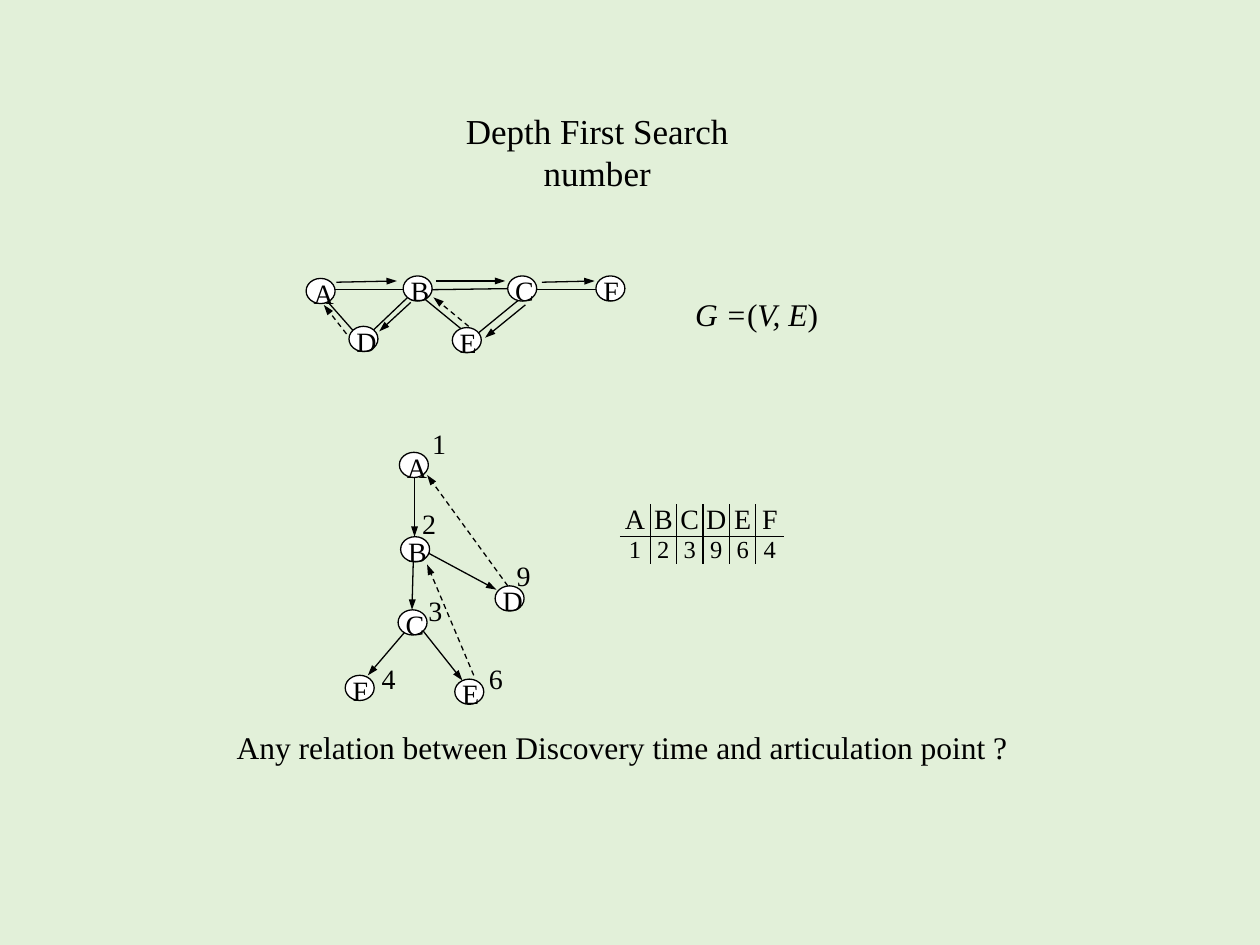
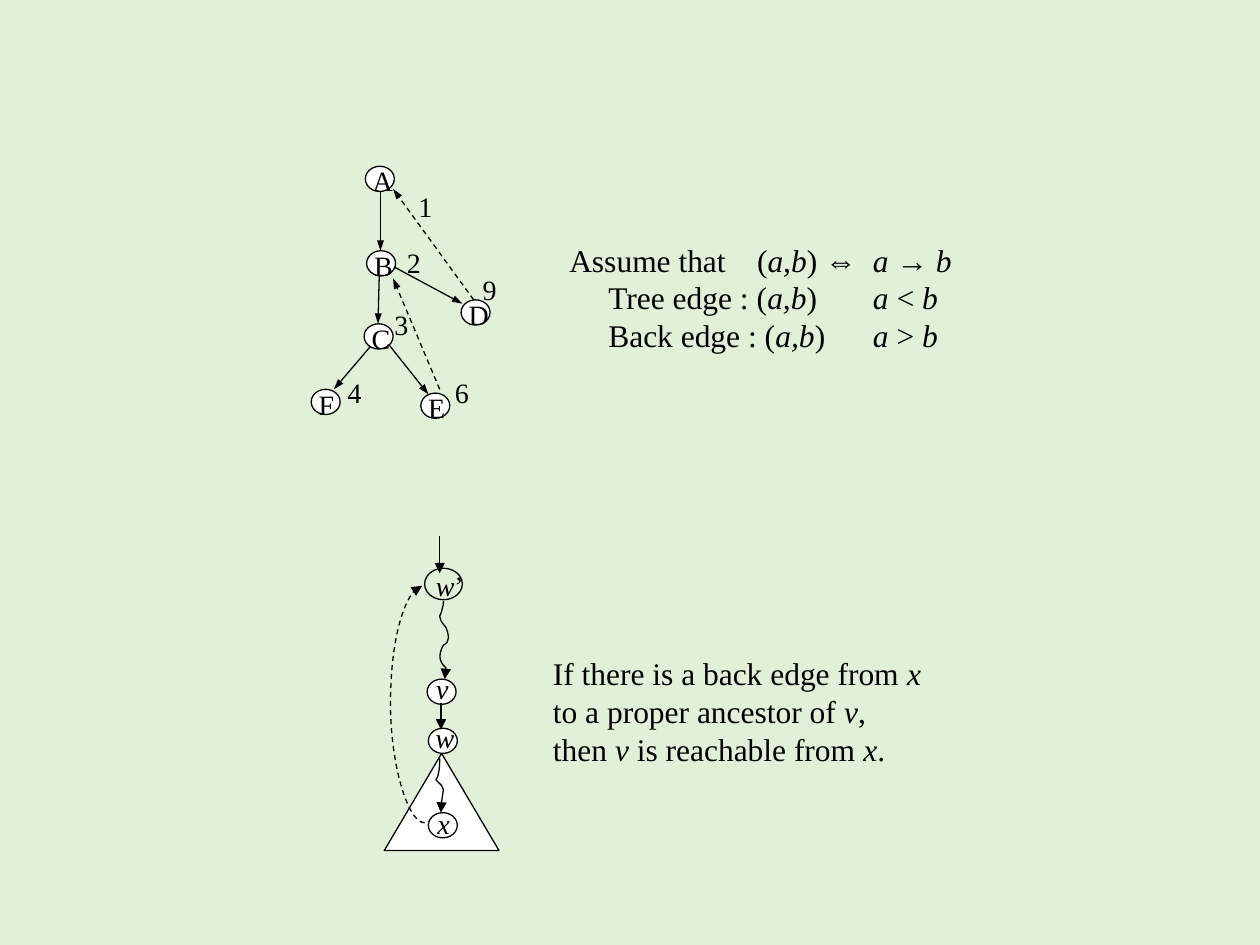
from lxml import etree
from pptx import Presentation
from pptx import util as u
from pptx.dml.color import RGBColor
from pptx.enum import dml, shapes, text
from pptx.oxml.ns import qn

BACKGROUND = RGBColor(0xE2, 0xF0, 0xD9)
INK = RGBColor(0, 0, 0)
PAPER = RGBColor(0xFF, 0xFF, 0xFF)
FONT = "Times New Roman"
COLUMNS, ROWS = 10, 7.5
CELL = u.Inches(1)
NODE_W, NODE_H = 0.23, 0.2
LABEL_W, LABEL_H = 0.32, 0.37
NO_GRID_STYLE = "{2D5ABB26-0587-4C30-8999-92F81FD0307C}"
CENTER, LEFT = text.PP_ALIGN.CENTER, text.PP_ALIGN.LEFT

GRAPH_EDGES = [
    (2.57, 2.36, 2.87, 2.7), (2.55, 2.3, 3.37, 2.3), (3.37, 2.3, 4.09, 2.29),
    (3.8, 2.64, 4.13, 2.37), (3.32, 2.28, 2.9, 2.68), (3.33, 2.34, 3.66, 2.61),
    (4.26, 2.3, 4.74, 2.3),
]
GRAPH_NODES = {"B": (3.2, 2.19), "D": (2.77, 2.59), "E": (3.59, 2.6),
               "A": (2.43, 2.21), "C": (4.03, 2.19), "F": (4.73, 2.19)}
GRAPH_VISITS = [
    (2.67, 2.24, 3.15, 2.23), (3.46, 2.23, 4.01, 2.23), (4.3, 2.24, 4.72, 2.23),
    (4.17, 2.42, 3.85, 2.68), (3.26, 2.4, 3.01, 2.63),
]
GRAPH_BACK_EDGES = [(2.75, 2.65, 2.57, 2.42), (3.72, 2.59, 3.44, 2.36)]

TREE_NODES = {"B": (0.44, 0.67), "D": (1.19, 1.06), "E": (0.87, 1.8),
              "A": (0.43, 0), "C": (0.42, 1.25), "F": (0, 1.77)}
TREE_EDGES = [
    (0.55, 0.2, 0.55, 0.67), (0.54, 0.87, 0.53, 1.25), (0.47, 1.43, 0.18, 1.77),
    (0.62, 1.42, 0.93, 1.81), (0.66, 0.8, 1.2, 1.09),
]
TREE_BACK_EDGES = [(1.29, 1.06, 0.65, 0.18), (1.02, 1.77, 0.65, 0.89)]
TREE_NUMBERS = {"1": (0.59, -0.26), "2": (0.51, 0.38), "3": (0.56, 1.07),
                "4": (0.19, 1.61), "6": (1.04, 1.61), "9": (1.26, 0.79)}

DISCOVERY = [("A", "1"), ("B", "2"), ("C", "3"), ("D", "9"), ("E", "6"), ("F", "4")]
DISCOVERY_WIDTHS = [0.24] + [0.21] * 4 + [0.22]

WAVE_TO_V = [
    (3.52, 4.77), (3.52, 4.79), (3.52, 4.81), (3.51, 4.83), (3.51, 4.85),
    (3.49, 4.89), (3.49, 4.89), (3.5, 4.94), (3.51, 4.94), (3.54, 4.98),
    (3.56, 5.03), (3.58, 5.09), (3.52, 5.12), (3.48, 5.19), (3.48, 5.25),
    (3.54, 5.3), (3.53, 5.38), (3.53, 5.35), (3.53, 5.39),
]
WAVE_TO_X = [
    (3.49, 6.02), (3.49, 6.06), (3.49, 6.1), (3.48, 6.14), (3.48, 6.16),
    (3.46, 6.19), (3.46, 6.19), (3.52, 6.25), (3.5, 6.22), (3.52, 6.27),
    (3.51, 6.33), (3.5, 6.39), (3.5, 6.45),
]


def grid(*lengths):
    """Turn grid columns and rows into slide lengths."""
    return [int(n * CELL) for n in lengths]


def shift(points, dx, dy):
    """Move a flat tuple of x, y pairs."""
    return [n + (dy if i % 2 else dx) for i, n in enumerate(points)]


def write(p, content, size, align=LEFT):
    """Fill a paragraph, with the parts between asterisks in italics."""
    p.alignment = align
    for i, part in enumerate(content.split("*")):
        if part:
            r = p.add_run()
            r.text = part
            look = {"name": FONT, "size": u.Pt(size), "italic": i % 2 == 1}
            for key, value in look.items():
                setattr(r.font, key, value)
            r.font.color.rgb = INK


def set_frame(tf, **changes):
    """Apply the shared text frame settings."""
    look = {"word_wrap": True, "vertical_anchor": text.MSO_ANCHOR.MIDDLE,
            "auto_size": text.MSO_AUTO_SIZE.NONE, **changes}
    for key, value in look.items():
        setattr(tf, key, value)


def add_text(s, at, lines, size=18, align=LEFT):
    """Add a text box with one paragraph per line."""
    tf = s.shapes.add_textbox(*grid(*at)).text_frame
    set_frame(tf)
    for i, line in enumerate(lines):
        write(tf.add_paragraph() if i else tf.paragraphs[0], line, size, align)
    return tf


def add_tabs(p, *stops):
    """Give a paragraph left tab stops."""
    tabs = etree.SubElement(p._p.get_or_add_pPr(), qn("a:tabLst"))
    for stop in grid(*stops):
        etree.SubElement(tabs, qn("a:tab"), pos=str(stop), algn="l")


def add_title(s, at, content):
    """Move and format the title placeholder."""
    sp = s.shapes.title
    for key, value in zip(("left", "top", "width", "height"), grid(*at)):
        setattr(sp, key, value)
    set_frame(sp.text_frame)
    write(sp.text_frame.paragraphs[0], content, 20, CENTER)


def set_line(sp, dashed=False, head=None):
    """Draw a thin line, dashed or with an arrowhead of the given width."""
    sp.line.color.rgb = INK
    sp.line.width = u.Pt(0.75)
    if dashed:
        sp.line.dash_style = dml.MSO_LINE.DASH
    if head:
        etree.SubElement(sp.line._get_or_add_ln(), qn("a:tailEnd"),
                         type="triangle", w=head, len="med")


def add_line(s, ends, dashed=False, head=None, kind=shapes.MSO_CONNECTOR.STRAIGHT):
    """Add a connector between two points."""
    sp = s.shapes.add_connector(kind, *grid(*ends))
    set_line(sp, dashed, head)
    etree.SubElement(sp._element.spPr, qn("a:effectLst"))
    return sp


def add_back_curve(s, ends, bulge):
    """Add a dashed curve that runs upwards and bulges to the left."""
    sp = add_line(s, ends, True, "med", shapes.MSO_CONNECTOR.CURVE)
    spPr = sp._element.spPr
    spPr.find(qn("a:xfrm")).set("rot", str(180 * 60000))
    adjust = next(spPr.iter(qn("a:avLst")))
    etree.SubElement(adjust, qn("a:gd"), name="adj1", fmla=f"val {int(bulge * 100000)}")


def add_wave(s, points):
    """Add a curved arrow through cubic control points."""
    start, *rest = [grid(*point) for point in points]
    builder = s.shapes.build_freeform(*start)
    builder.add_line_segments(rest, close=False)
    sp = builder.convert_to_shape()
    outline = next(sp._element.iter(qn("a:path")))
    segments = outline.findall(qn("a:lnTo"))
    for i in range(0, len(segments), 3):
        curve = etree.SubElement(outline, qn("a:cubicBezTo"))
        for segment in segments[i:i + 3]:
            curve.append(segment[0])
            outline.remove(segment)
    sp.shadow.inherit = False
    sp.fill.background()
    set_line(sp, head="med")


def add_outline(s, at, kind=shapes.MSO_SHAPE.OVAL, filled=True):
    """Add an outlined preset shape."""
    sp = s.shapes.add_shape(kind, *grid(*at))
    sp.shadow.inherit = False
    if filled:
        sp.fill.solid()
        sp.fill.fore_color.rgb = PAPER
    else:
        sp.fill.background()
    set_line(sp)


def add_node(s, x, y, name, lift=0.07):
    """Add a graph node and its label."""
    add_outline(s, (x, y, NODE_W, NODE_H))
    add_text(s, (x - 0.04, y - lift, LABEL_W, LABEL_H), [name], 16, CENTER)


def add_tree(s, x, y, **moved):
    """Add the depth-first tree with its discovery numbers."""
    for name, place in TREE_NODES.items():
        add_node(s, *shift(place, x, y), name)
    for edge in TREE_EDGES:
        add_line(s, shift(edge, x, y), head="sm")
    for edge in TREE_BACK_EDGES:
        add_line(s, shift(edge, x, y), dashed=True, head="sm")
    for number, place in TREE_NUMBERS.items():
        left, top = shift(moved.get("n" + number, place), x, y)
        add_text(s, (left, top, 0.31, LABEL_H), [number], 16, CENTER)


def set_border(cell, side, shown):
    """Show or hide one border of a table cell."""
    ln = etree.SubElement(cell._tc.get_or_add_tcPr(), qn("a:" + side), w=str(u.Pt(0.75)))
    if shown:
        fill = etree.SubElement(ln, qn("a:solidFill"))
        etree.SubElement(fill, qn("a:srgbClr"), val=str(INK))
    else:
        etree.SubElement(ln, qn("a:noFill"))


def add_discovery_table(s, x, y, heights=(0.26, 0.22)):
    """Add the table of nodes and discovery numbers."""
    size = (sum(DISCOVERY_WIDTHS), sum(heights))
    table = s.shapes.add_table(2, len(DISCOVERY), *grid(x, y, *size)).table
    table.first_row = table.horz_banding = False
    next(table._tbl.iter(qn("a:tableStyleId"))).text = NO_GRID_STYLE
    for row, height in zip(table.rows, grid(*heights)):
        row.height = height
    for c, pair in enumerate(DISCOVERY):
        table.columns[c].width = grid(DISCOVERY_WIDTHS[c])[0]
        for r, value in enumerate(pair):
            cell = table.cell(r, c)
            for side in ("left", "right", "top", "bottom"):
                setattr(cell, "margin_" + side, 0)
            cell.vertical_anchor = text.MSO_ANCHOR.MIDDLE
            write(cell.text_frame.paragraphs[0], value, (16, 14)[r], CENTER)
            borders = {"lnL": c > 0, "lnR": c < len(DISCOVERY) - 1,
                       "lnT": r == 1, "lnB": r == 0}
            for side, shown in borders.items():
                set_border(cell, side, shown)
            cell.fill.background()


def build_search_slide(prs):
    """Show the graph, its search tree and the discovery numbers."""
    s = prs.slides.add_slide(prs.slide_layouts[5])
    add_title(s, (3.19, 0.99, 3.1, 0.43), "Depth First Search number")
    for edge in GRAPH_EDGES:
        add_line(s, edge)
    for name, place in GRAPH_NODES.items():
        add_node(s, *place, name)
    add_text(s, (5.4, 2.29, 1.21, 0.4), ["*G =*(*V, E*)"], align=CENTER)
    for edge in GRAPH_VISITS:
        add_line(s, edge, head="sm")
    for edge in GRAPH_BACK_EDGES:
        add_line(s, edge, dashed=True, head="sm")
    add_tree(s, 2.74, 3.59)
    add_text(s, (1.78, 5.68, 6.41, 0.5),
             ["Any relation between Discovery time and articulation point ?"])
    add_discovery_table(s, 4.92, 4)


def build_back_edge_slide(prs):
    """Explain tree edges, back edges and reachability."""
    s = prs.slides.add_slide(prs.slide_layouts[6])
    add_text(s, (3.35, 4.46, 0.44, LABEL_H), ["*w*’"], 16, CENTER)
    add_tree(s, 2.47, 1.32, n1=(0.75, 0.13), n2=(0.66, 0.58))
    tf = add_text(s, (4.42, 1.86, 3.4, 1), [
        "Assume that\t(*a,b*) ⇔\t*a *→ *b*",
        "\tTree edge : (*a,b*)\t*a* < *b*",
        "\tBack edge : (*a,b*)\t*a* > *b*"])
    for p, first in zip(tf.paragraphs, (1.49, 0.31, 0.31)):
        add_tabs(p, first, 2.41)
    add_node(s, 3.39, 5.39, "*v*", 0.11)
    add_outline(s, (3.37, 4.51, 0.3, 0.25), filled=False)
    add_line(s, (3.49, 4.25, 3.49, 4.55), head="med")
    add_outline(s, (3.05, 5.98, 0.91, 0.77), shapes.MSO_SHAPE.ISOSCELES_TRIANGLE)
    add_back_curve(s, (3.35, 4.65, 3.37, 6.53), 13.5)
    add_text(s, (4.29, 5.14, 3.3, 1), [
        "If there is a back edge from *x*",
        "to a proper ancestor of *v*,",
        "then *v* is reachable from *x*."])
    add_wave(s, WAVE_TO_V)
    add_node(s, 3.4, 5.78, "*w*", 0.11)
    add_node(s, 3.4, 6.45, "*x*", 0.1)
    add_wave(s, WAVE_TO_X)
    add_line(s, (3.5, 5.58, 3.5, 5.79), head="med")


def main():
    """Build and save the presentation."""
    prs = Presentation()
    prs.slide_width, prs.slide_height = grid(COLUMNS, ROWS)
    fill = prs.slide_master.background.fill
    fill.solid()
    fill.fore_color.rgb = BACKGROUND
    build_search_slide(prs)
    build_back_edge_slide(prs)
    prs.save("out.pptx")


if __name__ == "__main__":
    main()
